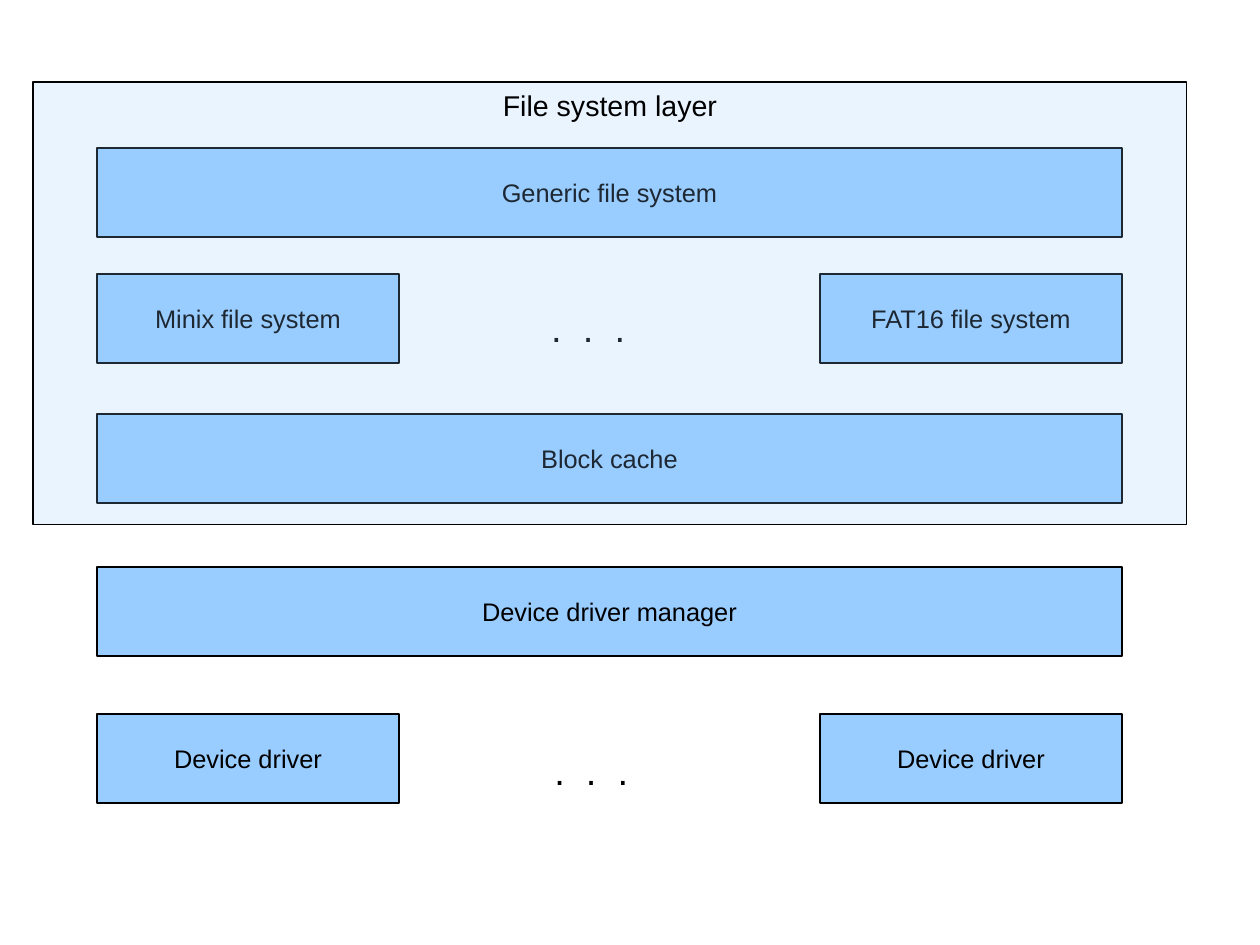
from pptx import Presentation
from pptx.dml.color import RGBColor
from pptx.enum.shapes import MSO_SHAPE
from pptx.enum.text import MSO_ANCHOR, MSO_AUTO_SIZE, PP_ALIGN
from pptx.oxml.ns import qn
from pptx.util import Pt
from lxml import etree

PX = 8000
BLUE = RGBColor(0x99, 0xCC, 0xFF)
BLACK = RGBColor(0x00, 0x00, 0x00)
RECTANGLE = MSO_SHAPE.RECTANGLE
TOP, MIDDLE = MSO_ANCHOR.TOP, MSO_ANCHOR.MIDDLE
LEFT, CENTER = PP_ALIGN.LEFT, PP_ALIGN.CENTER
GROW = MSO_AUTO_SIZE.SHAPE_TO_FIT_TEXT
BAR_HEIGHT = 89
MODULE_WIDTH = 302


def emu(box):
    """Turn a box of px lengths into EMU."""
    return [length * PX for length in box]


def write(shape, text, size, align):
    """Write one paragraph of black text into a shape."""
    para = shape.text_frame.paragraphs[0]
    para.alignment = align
    span = para.add_run()
    span.text = text
    formats = {"name": "Arial", "size": Pt(size)}
    for name, value in formats.items():
        setattr(span.font, name, value)
    span.font.color.rgb = BLACK


def add_block(page, box, text, size=16, anchor=MIDDLE):
    """Add a blue rectangle with a hairline border and a centred label."""
    block = page.shapes.add_shape(RECTANGLE, *emu(box))
    block.shadow.inherit = False
    block.fill.solid()
    block.fill.fore_color.rgb = BLUE
    block.line.color.rgb = BLACK
    block.line.width = Pt(0)
    block.text_frame.word_wrap = False
    block.text_frame.vertical_anchor = anchor
    write(block, text, size, CENTER)
    return block


def add_dots(page, box):
    """Add the dots that stand for further modules."""
    dots = page.shapes.add_textbox(*emu(box))
    dots.text_frame.word_wrap = True
    dots.text_frame.auto_size = GROW
    write(dots, ".  .  .", 24, LEFT)


def add_modules(page, box, labels, dots_offset):
    """Place a module at each end of the box, with dots between them."""
    left, top, width, height = box
    for x, label in zip((left, left + width - MODULE_WIDTH), labels):
        add_block(page, (x, top, MODULE_WIDTH, height), label)
    dots_x, dots_y = dots_offset
    add_dots(page, (left + dots_x, top + dots_y, 168, 54))


def add_file_system_layer(page, box):
    """Draw the file system parts under a translucent titled frame."""
    left, top, width, height = box
    x, bar_width = left + 64, width - 129
    for y, label in ((66, "Generic file system"), (332, "Block cache")):
        add_block(page, (x, top + y, bar_width, BAR_HEIGHT), label)
    add_modules(page, (x, top + 192, bar_width, BAR_HEIGHT),
                ("Minix file system", "FAT16 file system"), (443, 25))
    frame = add_block(page, box, "File system layer", 18, TOP)
    color = frame.fill._xPr.find(qn("a:solidFill"))[0]
    etree.SubElement(color, qn("a:alpha"), val="20000")


def add_device_layer(page, box):
    """Draw the driver manager above its device drivers."""
    left, top, width, height = box
    add_block(page, (left, top, width, BAR_HEIGHT), "Device driver manager")
    drivers = (left, top + height - BAR_HEIGHT, width, BAR_HEIGHT)
    add_modules(page, drivers, ("Device driver",) * 2, (446, 28))


def main():
    """Build the file system architecture slide."""
    deck = Presentation()
    deck.slide_width, deck.slide_height = emu((1260, 945))
    page = deck.slides.add_slide(deck.slide_layouts[6])
    add_file_system_layer(page, (33, 82, 1154, 443))
    add_device_layer(page, (97, 567, 1025, 236))
    deck.save("out.pptx")


if __name__ == "__main__":
    main()
